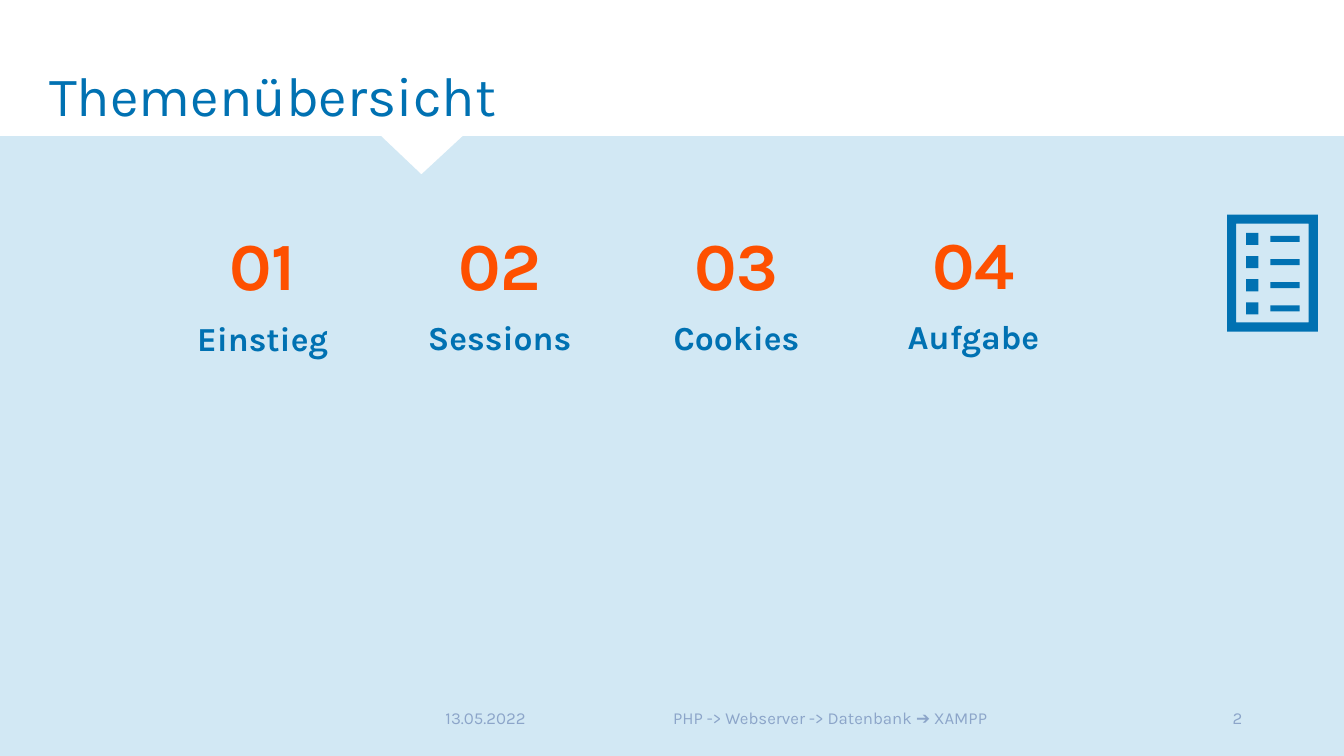
from dataclasses import dataclass

from pptx import Presentation
from pptx import util as u
from pptx.dml.color import RGBColor
from pptx.enum import shapes, text


@dataclass(frozen=True)
class Theme:
    font: str = "Karla"
    blue: str = "0071B2"
    orange: str = "FE5000"
    pale: str = "D2E8F4"
    muted: str = "8CA5C9"
    title_size: float = 39.6
    number_size: float = 48
    topic_size: float = 24
    footer_size: float = 12


@dataclass(frozen=True)
class Label:
    words: str
    left: float
    top: float
    width: float
    height: float
    size: float
    color: str
    bold: bool = False
    align: text.PP_ALIGN = text.PP_ALIGN.LEFT
    anchor: text.MSO_ANCHOR = text.MSO_ANCHOR.TOP
    line_spacing: float = 1.0


@dataclass(frozen=True)
class Topic:
    name: str
    number_top: float
    name_top: float


THEME = Theme()
TOPICS = [
    Topic("Einstieg", 2.32, 3.15),
    Topic("Sessions", 2.32, 3.14),
    Topic("Cookies", 2.32, 3.14),
    Topic("Aufgabe", 2.31, 3.13),
]
TOPIC_LEFT, TOPIC_WIDTH = 1.43, 2.35
CENTER, RIGHT = text.PP_ALIGN.CENTER, text.PP_ALIGN.RIGHT
MIDDLE = text.MSO_ANCHOR.MIDDLE


def paint(shape, color: str) -> None:
    shape.shadow.inherit = False
    shape.fill.solid()
    shape.fill.fore_color.rgb = RGBColor.from_string(color)
    shape.line.fill.background()


def add_label(page, label: Label) -> None:
    box = page.shapes.add_textbox(u.Inches(label.left), u.Inches(label.top),
                                  u.Inches(label.width), u.Inches(label.height))
    frame = box.text_frame
    frame.word_wrap = True
    frame.vertical_anchor = label.anchor
    para = frame.paragraphs[0]
    para.alignment = label.align
    para.line_spacing = label.line_spacing
    span = para.add_run()
    span.text = label.words
    span.font.name = THEME.font
    span.font.size = u.Pt(label.size)
    span.font.bold = label.bold
    span.font.color.rgb = RGBColor.from_string(label.color)


def add_block(page, kind: shapes.MSO_SHAPE, left: float, top: float,
              width: float, height: float):
    block = page.shapes.add_shape(kind, u.Inches(left), u.Inches(top),
                                  u.Inches(width), u.Inches(height))
    paint(block, THEME.blue)
    return block


def add_band(page) -> None:
    outline = [(3.78, 1.35), (4.18, 1.73), (4.59, 1.35),
               (13.33, 1.35), (13.33, 7.5), (0, 7.5)]
    builder = page.shapes.build_freeform(0, u.Inches(1.35))
    builder.add_line_segments([(u.Inches(x), u.Inches(y)) for x, y in outline])
    paint(builder.convert_to_shape(), THEME.pale)


def add_list_icon(page) -> None:
    sheet = add_block(page, shapes.MSO_SHAPE.FRAME, 12.17, 2.13, 0.9, 1.16)
    sheet.adjustments[0] = 0.1
    for row in range(4):
        top = 2.31 + 0.23 * row
        add_block(page, shapes.MSO_SHAPE.RECTANGLE, 12.36, top, 0.12, 0.12)
        add_block(page, shapes.MSO_SHAPE.RECTANGLE, 12.6, top + 0.03, 0.29, 0.06)


def add_topics(page) -> None:
    for index, topic in enumerate(TOPICS):
        left = TOPIC_LEFT + TOPIC_WIDTH * index
        add_label(page, Label(f"{index + 1:02}", left, topic.number_top, TOPIC_WIDTH, 0.77,
                              THEME.number_size, THEME.orange, True, CENTER,
                              line_spacing=0.8))
        add_label(page, Label(topic.name, left, topic.name_top, TOPIC_WIDTH, 0.46,
                              THEME.topic_size, THEME.blue, True, CENTER,
                              line_spacing=0.9))


def add_footer(page) -> None:
    for words, left, width, align in [
        ("13.05.2022", 4.32, 1.55, text.PP_ALIGN.LEFT),
        ("PHP -> Webserver -> Datenbank ➔ XAMPP", 5.87, 4.73, CENTER),
        ("2", 10.6, 1.82, RIGHT),
    ]:
        add_label(page, Label(words, left, 6.9, width, 0.45, THEME.footer_size,
                              THEME.muted, align=align, anchor=MIDDLE))


def main() -> None:
    deck = Presentation()
    deck.slide_width, deck.slide_height = u.Inches(13.33), u.Inches(7.5)
    page = deck.slides.add_slide(deck.slide_layouts[6])

    # Background band with its notch, then the title
    add_band(page)
    add_label(page, Label("Themenübersicht", 0.39, 0.61, 5.48, 0.74, THEME.title_size,
                          THEME.blue, anchor=MIDDLE, line_spacing=0.9))
    # Numbered topics and the list icon
    add_topics(page)
    add_list_icon(page)
    # Date, subject and page number
    add_footer(page)

    deck.save("out.pptx")


if __name__ == "__main__":
    main()
